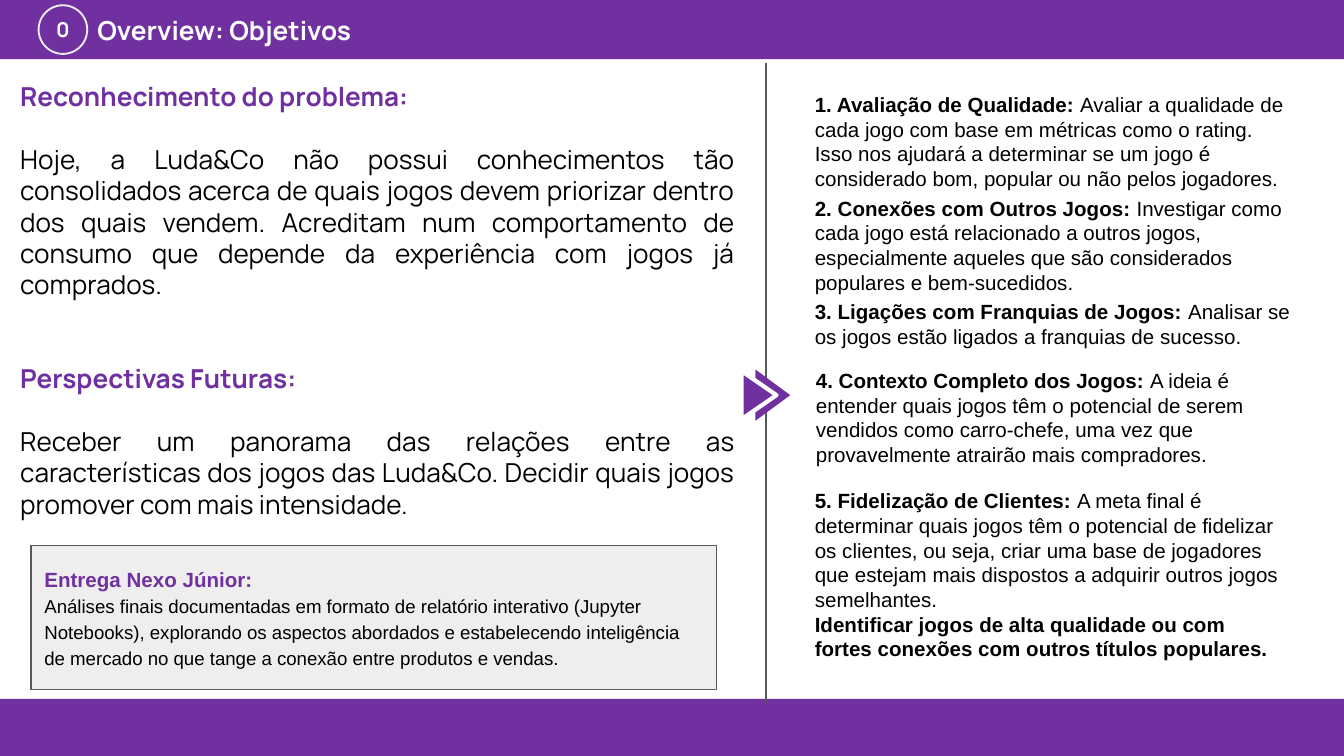
from lxml import etree
from pptx import Presentation
from pptx.dml.color import RGBColor
from pptx.enum.shapes import MSO_CONNECTOR, MSO_SHAPE
from pptx.enum.text import MSO_ANCHOR, MSO_AUTO_SIZE, PP_ALIGN
from pptx.oxml.ns import qn
from pptx.util import Cm, Pt

RECT, OVAL, TRIANGLE = MSO_SHAPE.RECTANGLE, MSO_SHAPE.OVAL, MSO_SHAPE.ISOSCELES_TRIANGLE
LEFT, CENTER, JUSTIFY = PP_ALIGN.LEFT, PP_ALIGN.CENTER, PP_ALIGN.JUSTIFY
TOP, MIDDLE = MSO_ANCHOR.TOP, MSO_ANCHOR.MIDDLE
STRAIGHT, NO_FIT = MSO_CONNECTOR.STRAIGHT, MSO_AUTO_SIZE.NONE

COLORS = {"purple": "7030A0", "white": "FFFFFF", "black": "000000",
          "light": "EEEEEE", "gray": "595959"}
HEAD, BODY = "Manrope", "Arial"
W, H, BAND = 25.4, 14.29, 1.12
FOOTER_TOP = 13.21
INSET, SMALL_INSET = 0.25, 0.1

TITLE = "Overview: Objetivos"
NUMBER = "0"
SECTIONS = [
    ("Reconhecimento do problema:",
     "Hoje, a Luda&Co não possui conhecimentos tão consolidados acerca de quais jogos "
     "devem priorizar dentro dos quais vendem. Acreditam num comportamento de consumo "
     "que depende da experiência com jogos já comprados."),
    ("Perspectivas Futuras:",
     "Receber um panorama das relações entre as características dos jogos das Luda&Co. "
     "Decidir quais jogos promover com mais intensidade."),
]
GOALS = [
    ((15.15, 1.49, 9.6, 2.39), "1. Avaliação de Qualidade: ",
     "Avaliar a qualidade de cada jogo com base em métricas como o rating. Isso nos "
     "ajudará a determinar se um jogo é considerado bom, popular ou não pelos jogadores."),
    ((15.15, 3.45, 9.9, 2.39), "2. Conexões com Outros Jogos: ",
     "Investigar como cada jogo está relacionado a outros jogos, especialmente aqueles "
     "que são considerados populares e bem-sucedidos."),
    ((15.15, 5.41, 9.75, 1.45), "3. Ligações com Franquias de Jogos: ",
     "Analisar se os jogos estão ligados a franquias de sucesso."),
    ((15.17, 6.71, 9.9, 2.39), "4. Contexto Completo dos Jogos: ",
     "A ideia é entender quais jogos têm o potencial de serem vendidos como carro-chefe, "
     "uma vez que provavelmente atrairão mais compradores."),
    ((15.15, 8.98, 9.37, 3.81), "5. Fidelização de Clientes: ",
     "A meta final é determinar quais jogos têm o potencial de fidelizar os clientes, ou "
     "seja, criar uma base de jogadores que estejam mais dispostos a adquirir outros "
     "jogos semelhantes."),
]
CLOSING = ("Identificar jogos de alta qualidade ou com fortes conexões com outros "
           "títulos populares.")
DELIVERY = ("Entrega Nexo Júnior:",
            "Análises finais documentadas em formato de relatório interativo (Jupyter "
            "Notebooks), explorando os aspectos abordados e estabelecendo inteligência de "
            "mercado no que tange a conexão entre produtos e vendas.")
ARROWS = [((14.12, 7.14, 0.97, 0.66), None), ((13.89, 7.14, 0.91, 0.66), "white")]


def rgb(name):
    return RGBColor.from_string(COLORS[name])


def place(sp, box):
    sp.left, sp.top, sp.width, sp.height = (Cm(v) for v in box)


def add_shape(s, kind, box, fill, line=None, weight=1):
    sp = s.shapes.add_shape(kind, *(Cm(v) for v in box))
    sp.shadow.inherit = False
    sp.fill.solid()
    sp.fill.fore_color.rgb = rgb(fill)
    if line:
        sp.line.color.rgb = rgb(line)
        sp.line.width = Pt(weight)
    else:
        sp.line.fill.background()
    return sp


def write(sp, paragraphs, font, inset=INSET, align=LEFT, anchor=TOP):
    tf = sp.text_frame
    tf.word_wrap = True
    tf.auto_size = NO_FIT
    tf.vertical_anchor = anchor
    tf.margin_left = tf.margin_right = Cm(max(inset, 0.18))
    tf.margin_top = tf.margin_bottom = Cm(inset)
    for i, (runs, before, spacing) in enumerate(paragraphs):
        p = tf.paragraphs[0] if i == 0 else tf.add_paragraph()
        p.alignment = align
        p.space_before = Pt(before)
        p.space_after = Pt(0)
        p.line_spacing = spacing
        for text, size, color, bold in runs:
            r = p.add_run()
            r.text = text
            r.font.name = font
            r.font.size = Pt(size)
            r.font.bold = bold
            r.font.color.rgb = rgb(color)
    return tf


def add_text(s, box, paragraphs):
    sp = s.shapes.add_textbox(*(Cm(v) for v in box))
    write(sp, paragraphs, BODY)


def remove_bullets(tf):
    for p in tf.paragraphs:
        pPr = p._p.get_or_add_pPr()
        pPr.set("marL", "0")
        pPr.set("indent", "0")
        etree.SubElement(pPr, qn("a:buNone"))


def build_header(s):
    add_shape(s, RECT, (0, FOOTER_TOP, W, H - FOOTER_TOP), "purple")
    add_shape(s, RECT, (0, 0, W, BAND), "purple")
    title = s.shapes.title
    place(title, (1.66, 0.18, 8.86, 0.74))
    write(title, [([(TITLE, 14, "white", True)], 0, 1.0)], HEAD, SMALL_INSET)
    title.element.getparent().append(title.element)
    badge = add_shape(s, OVAL, (0.73, 0.1, 0.92, 0.92), "purple", "light")
    write(badge, [([(NUMBER, 11, "white", True)], 0, 1.0)], HEAD, SMALL_INSET, CENTER, MIDDLE)


def build_problem(s):
    body = s.placeholders[1]
    place(body, (0.13, 1.27, 14.01, 8.9))
    paragraphs = []
    for i, (heading, text) in enumerate(SECTIONS):
        paragraphs.append(([(heading, 14, "purple", True)], 33.6 * i, 1.0))
        paragraphs.append(([(text, 14, "black", False)], 16.8, 1.0))
    remove_bullets(write(body, paragraphs, HEAD, align=JUSTIFY))


def build_divider(s):
    line = s.shapes.add_connector(STRAIGHT, Cm(14.48), Cm(1.2), Cm(14.48), Cm(13.28))
    line.line.color.rgb = rgb("gray")
    line.line.width = Pt(0.75)
    etree.SubElement(line.element.spPr, qn("a:effectLst"))
    for box, outline in ARROWS:
        add_shape(s, TRIANGLE, box, "purple", outline, 2.25).rotation = 90


def build_goals(s):
    for box, label, text in GOALS:
        paragraphs = [([(label, 11, "black", True), (text, 11, "black", False)], 0, 1.0)]
        if box == GOALS[-1][0]:
            paragraphs.append(([(CLOSING, 11, "black", True)], 0, 1.0))
        add_text(s, box, paragraphs)


def build_delivery(s):
    heading, text = DELIVERY
    add_shape(s, RECT, (0.59, 10.31, 12.95, 2.72), "light", "gray", 0.75)
    add_text(s, (0.59, 10.24, 12.57, 2.11), [
        ([(heading, 11, "purple", True)], 0, 1.5),
        ([(text, 10, "black", False)], 0, 1.15),
    ])


def main():
    prs = Presentation()
    prs.slide_width, prs.slide_height = Cm(W), Cm(H)
    s = prs.slides.add_slide(prs.slide_layouts[1])
    build_header(s)
    build_problem(s)
    build_divider(s)
    build_goals(s)
    build_delivery(s)
    prs.save("out.pptx")


if __name__ == "__main__":
    main()
